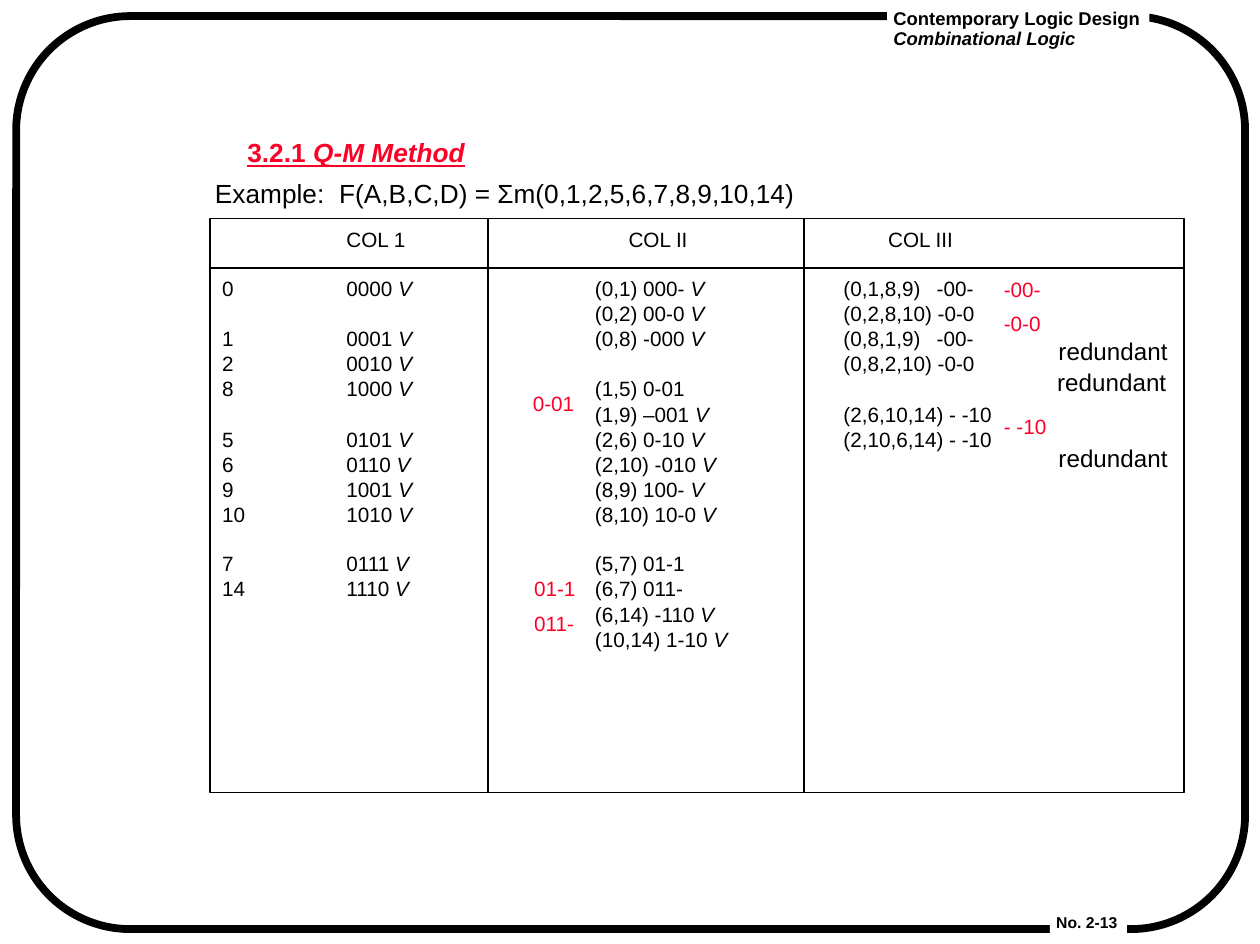
from dataclasses import dataclass

from lxml import etree
from pptx import Presentation
from pptx import util as u
from pptx.dml.color import RGBColor
from pptx.enum import shapes, text as tx
from pptx.oxml.ns import qn

HUES = {"ink": "000000", "red": "FC0128", "paper": "FFFFFF"}
KIND = shapes.MSO_SHAPE
Box = tuple[float, float, float, float]
GRID: Box = (1.69, 1.76, 7.84, 4.62)
PITCH = 14.6  # points from row to row
GAP = 13.8    # points added above a new group
HEAD_TABS = (1, 3.27, 5.36)
ROW_TABS = (1, 3, 5, 5.75)


@dataclass
class Row:
    cells: tuple[str, ...]
    gap: float = 0
    tabs: tuple[float, ...] = ROW_TABS


@dataclass
class Note:
    words: str
    box: Box
    hue: str = "red"
    size: float = 12


ROWS = [
    Row(("", "COL 1", "COL II", "COL III"), tabs=HEAD_TABS),
    Row(("0", "0000 *V*", "(0,1) 000- *V*", "(0,1,8,9)", "-00-"), GAP),
    Row(("", "", "(0,2) 00-0 *V*", "(0,2,8,10) -0-0")),
    Row(("1", "0001 *V*", "(0,8) -000 *V*", "(0,8,1,9)", "-00-")),
    Row(("2", "0010 *V*", "", "(0,8,2,10) -0-0")),
    Row(("8", "1000 *V*", "(1,5) 0-01")),
    Row(("", "", "(1,9) –001 *V*", "(2,6,10,14) - -10")),
    Row(("5", "0101 *V*", "(2,6) 0-10 *V*", "(2,10,6,14) - -10")),
    Row(("6", "0110 *V*", "(2,10) -010 *V*")),
    Row(("9", "1001 *V*", "(8,9) 100- *V*")),
    Row(("10", "1010 *V*", "(8,10) 10-0 *V*")),
    Row(("7", "0111 *V*", "(5,7) 01-1"), GAP),
    Row(("14", "1110 *V*", "(6,7) 011-")),
    Row(("", "", "(6,14) -110 *V*")),
    Row(("", "", "(10,14) 1-10 *V*")),
]

NOTES = [
    Note("-00-", (7.98, 2.18, 0.5, 0.3)),
    Note("-0-0", (7.98, 2.45, 0.5, 0.3)),
    Note("redundant", (8.42, 2.66, 1.08, 0.34), "ink", 14),
    Note("redundant", (8.41, 2.91, 1.09, 0.34), "ink", 14),
    Note("- -10", (7.98, 3.28, 0.55, 0.3)),
    Note("redundant", (8.42, 3.52, 1.09, 0.34), "ink", 14),
    Note("0-01", (4.19, 3.1, 0.54, 0.3)),
    Note("01-1", (4.2, 4.59, 0.54, 0.3)),
    Note("011-", (4.2, 4.87, 0.52, 0.3)),
]


def color(name: str) -> RGBColor:
    return RGBColor.from_string(HUES[name])


def inches(vals) -> list[u.Length]:
    return [u.Inches(v) for v in vals]


def write(shape, lines: list[str], size: float, hue: str = "ink",
          bold: bool = False, under: bool = False, wrap: bool = False,
          pad: tuple[float, float] = (0.05, 0.02), lead=1.0) -> None:
    """Fill a shape with lines; words between asterisks are italic."""
    frame = shape.text_frame
    frame.word_wrap = wrap
    frame.auto_size = tx.MSO_AUTO_SIZE.NONE
    frame.vertical_anchor = tx.MSO_ANCHOR.TOP
    frame.margin_left = frame.margin_right = u.Inches(pad[0])
    frame.margin_top = frame.margin_bottom = u.Inches(pad[1])
    for i, line in enumerate(lines):
        para = frame.add_paragraph() if i else frame.paragraphs[0]
        para.alignment = tx.PP_ALIGN.LEFT
        para.line_spacing = lead
        for j, part in enumerate(line.split("*")):
            if not part:
                continue
            run = para.add_run()
            run.text = part
            font = run.font
            font.name, font.size = "Arial", u.Pt(size)
            font.bold, font.italic = bold, j % 2 == 1
            font.underline = under
            font.color.rgb = color(hue)


def set_tabs(para, stops: tuple[float, ...]) -> None:
    tabs = etree.SubElement(para._p.get_or_add_pPr(), qn("a:tabLst"))
    for stop in stops:
        etree.SubElement(tabs, qn("a:tab"), pos=str(u.Inches(stop)), algn="l")


def add_box(slide, box: Box, kind=KIND.RECTANGLE, fill: str = "",
            width: float = 0):
    shape = slide.shapes.add_shape(kind, *inches(box))
    shape.shadow.inherit = False
    if fill:
        shape.fill.solid()
        shape.fill.fore_color.rgb = color(fill)
    else:
        shape.fill.background()
    if width:
        shape.line.color.rgb = color("ink")
        shape.line.width = u.Pt(width)
    else:
        shape.line.fill.background()
    return shape


def add_rule(slide, ends: Box) -> None:
    rule = slide.shapes.add_connector(shapes.MSO_CONNECTOR.STRAIGHT,
                                      *inches(ends))
    rule.line.color.rgb = color("ink")
    rule.line.width = u.Pt(1)
    etree.SubElement(rule._element.spPr, qn("a:effectLst"))


def add_frame(slide) -> None:
    edge = add_box(slide, (0.13, 0.13, 9.89, 7.35), KIND.ROUNDED_RECTANGLE,
                   width=4.5)
    edge.adjustments[0] = 0.125
    write(add_box(slide, (7.14, 0.06, 2.11, 0.37), fill="paper"),
          ["Contemporary Logic Design", "*Combinational Logic*"],
          10.7, bold=True, lead=0.9)
    write(add_box(slide, (8.45, 7.34, 0.62, 0.19), fill="paper"),
          ["No. 2-13"], 9.1, bold=True, lead=0.97)


def add_heads(slide) -> None:
    title = slide.shapes.title
    title.left, title.top, title.width, title.height = inches(
        (1.92, 1.11, 1.91, 0.27))
    write(title, ["3.2.1 *Q-M Method*"], 15.2, "red", bold=True, under=True,
          pad=(0.07, 0.03), lead=0.85)
    case = slide.shapes.add_textbox(*inches((1.68, 1.45, 4.82, 0.26)))
    write(case, ["Example:\tF(A,B,C,D) = Σm(0,1,2,5,6,7,8,9,10,14)"], 15.2,
          wrap=True, lead=0.85)
    set_tabs(case.text_frame.paragraphs[0], (1,))


def add_grid(slide) -> None:
    left, top, wide, high = GRID
    body = slide.shapes.add_textbox(*inches((left, 1.82, wide, 3.88)))
    write(body, ["\t".join(row.cells) for row in ROWS], 12, wrap=True,
          pad=(0.1, 0), lead=u.Pt(PITCH))
    for para, row in zip(body.text_frame.paragraphs, ROWS):
        if row.gap:
            para.space_before = u.Pt(row.gap)
        set_tabs(para, row.tabs)
    add_box(slide, GRID, width=1)
    for x in (3.93, 6.47):
        add_rule(slide, (x, top, x, top + high))
    add_rule(slide, (left, 2.16, left + wide, 2.16))


def main() -> None:
    deck = Presentation()
    deck.slide_width, deck.slide_height = inches((10.14, 7.6))
    slide = deck.slides.add_slide(deck.slide_layouts[5])
    add_frame(slide)
    add_heads(slide)
    add_grid(slide)
    for note in NOTES:
        write(add_box(slide, note.box, fill="paper"), [note.words],
              note.size, note.hue, pad=(0.1, 0.05))
    deck.save("out.pptx")


if __name__ == "__main__":
    main()
